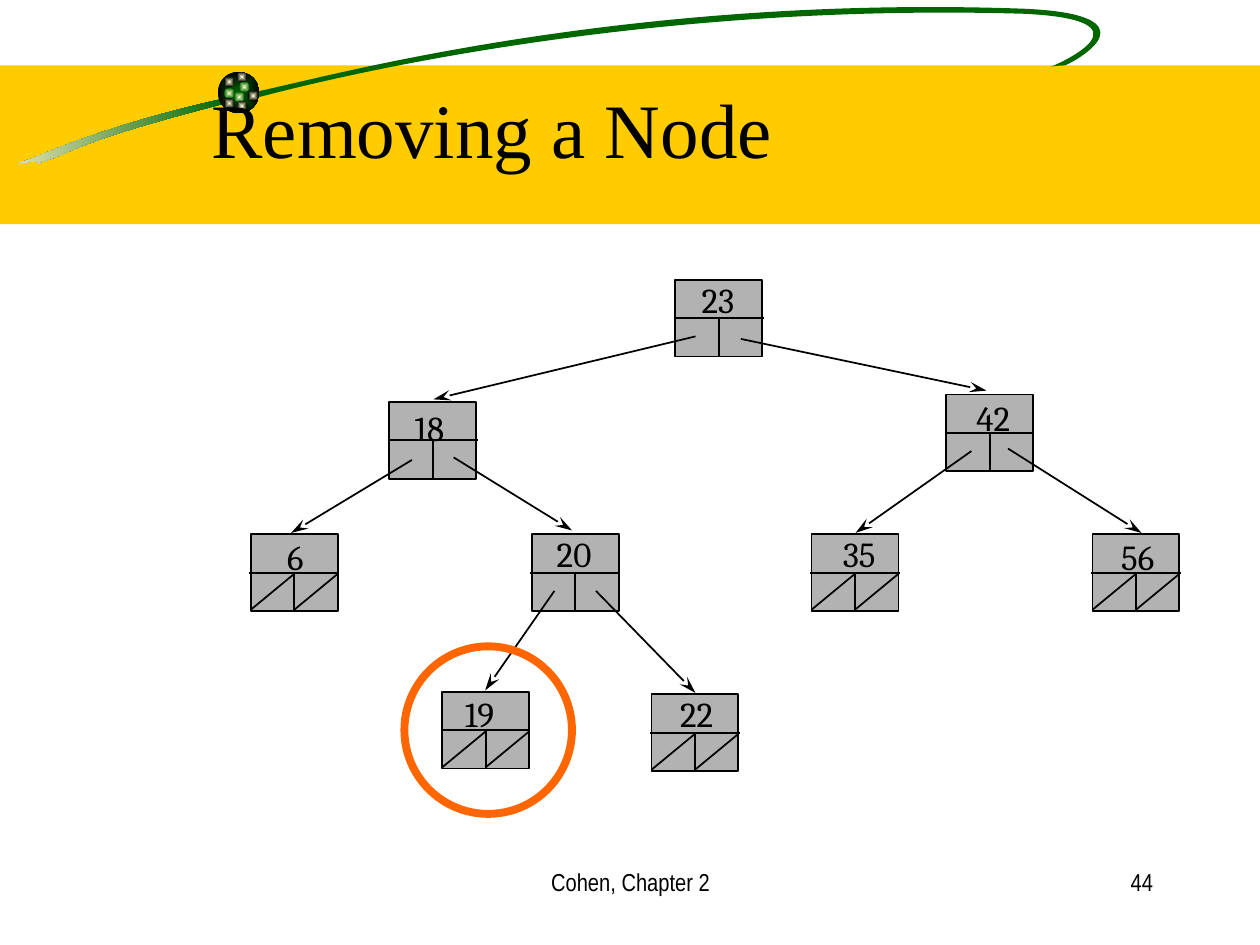
import math
from dataclasses import dataclass
from typing import Optional

from pptx import Presentation
from pptx import util as u
from pptx.dml.color import RGBColor
from pptx.enum import shapes, text
from pptx.oxml import parse_xml
from pptx.oxml.ns import nsdecls, qn

Point = tuple[float, float]


@dataclass(frozen=True)
class Theme:
    band: str = "FFCC00"
    swoosh: str = "006600"
    cream: str = "F5EBC1"
    glow: str = "FFFFCC"
    ink: str = "000000"
    cell: str = "B2B2B2"
    ring: str = "FF6600"
    title_font: str = "Times New Roman"
    label_font: str = "Cambria"
    footer_font: str = "Arial Narrow"
    title_size: int = 44
    label_size: int = 20
    footer_size: int = 14
    thin: float = 1
    thick: float = 4.5


@dataclass(frozen=True)
class Node:
    value: str
    corner: Point
    label: Point
    arrow: Optional[tuple[Point, Point]] = None
    leaf: bool = False


THEME = Theme()
NODE_WIDTH, NODE_HEIGHT, OVERHANG = 0.69, 0.61, 0.01
TILT = -8.5  # degrees, shared by both parts of the swoosh

NODES = [
    Node("23", (5.36, 2.22), (5.47, 2.16)),
    Node("18", (3.09, 3.19), (3.19, 3.18), ((5.52, 2.67), (3.44, 3.17))),
    Node("6", (1.99, 4.24), (2.18, 4.20), ((3.27, 3.65), (2.31, 4.23)), True),
    Node("20", (4.22, 4.24), (4.32, 4.18), ((3.60, 3.63), (4.54, 4.21))),
    Node("19", (3.51, 5.49), (3.59, 5.45), ((4.40, 4.69), (3.85, 5.48)), True),
    Node("22", (5.17, 5.51), (5.30, 5.45), ((4.73, 4.69), (5.52, 5.50)), True),
    Node("42", (7.51, 3.13), (7.65, 3.10), ((5.88, 2.69), (7.83, 3.10))),
    Node("35", (6.44, 4.24), (6.59, 4.18), ((7.71, 3.58), (6.79, 4.23)), True),
    Node("56", (8.67, 4.24), (8.80, 4.20), ((8.00, 3.56), (9.06, 4.23)), True),
]

# Start point, then two control points and an end point for each curve
TAIL_CENTRE: Point = (0.89, 1.06)
TAIL: list[Point] = [
    (1.78, 0.78),
    (0.91, 0.98), (0.49, 1.16), (0.25, 1.26),
    (0.01, 1.34), (0.26, 1.26), (0.31, 1.29),
    (0.57, 1.22), (0.57, 1.13), (1.79, 0.82),
]
LOOP_CENTRE: Point = (5.59, 0.4)
LOOP: list[Point] = [
    (2.02, 0.73),
    (2.46, 0.65), (4.86, -0.05), (8.14, 0.07),
    (9.17, 0.12), (8.57, 0.47), (8.45, 0.52),
    (8.45, 0.52), (8.38, 0.52), (8.34, 0.53),
    (8.44, 0.49), (9.16, 0.16), (8.13, 0.11),
    (5.48, 0.03), (3.20, 0.47), (2.06, 0.77),
]

# Corner of each glint on the bead, with its outer colour
GLINTS = [
    (1.90, 0.65, THEME.swoosh), (1.78, 0.61, THEME.ink), (1.78, 0.70, THEME.swoosh),
    (1.86, 0.73, THEME.swoosh), (1.97, 0.72, THEME.ink), (1.88, 0.80, THEME.ink),
    (1.78, 0.78, THEME.ink), (1.88, 0.57, THEME.ink),
]


def rgb(value: str) -> RGBColor:
    return RGBColor.from_string(value)


def add_preset(parent, kind, left: float, top: float, width: float, height: float,
               fill: Optional[str] = None, line: Optional[str] = None,
               weight: float = THEME.thin):
    shape = parent.shapes.add_shape(kind, *map(u.Inches, (left, top, width, height)))
    shape.shadow.inherit = False
    if fill:
        shape.fill.solid()
        shape.fill.fore_color.rgb = rgb(fill)
    else:
        shape.fill.background()
    if line:
        shape.line.color.rgb = rgb(line)
        shape.line.width = u.Pt(weight)
    else:
        shape.line.fill.background()
    return shape


def set_gradient(shape, first: str, last: str, centred: bool) -> None:
    shape.fill.gradient()
    for stop, colour in zip(shape.fill.gradient_stops, (first, last)):
        stop.color.rgb = rgb(colour)
    shape.fill.gradient_angle = 180
    if centred:
        linear = shape.element.spPr.find(qn("a:gradFill")).find(qn("a:lin"))
        linear.getparent().replace(linear, parse_xml(
            f'<a:path {nsdecls("a")} path="rect"><a:fillToRect '
            'l="50000" t="50000" r="50000" b="50000"/></a:path>'))


def add_curved(page, points: list[Point], centre: Point):
    """Lay the outline level, join it with Bezier curves, then tilt it."""
    turn = math.radians(-TILT)
    level = []
    for x, y in points:
        dx, dy = x - centre[0], y - centre[1]
        level.append((u.Inches(centre[0] + dx * math.cos(turn) - dy * math.sin(turn)),
                      u.Inches(centre[1] + dx * math.sin(turn) + dy * math.cos(turn))))
    builder = page.shapes.build_freeform(*level[0])
    builder.add_line_segments(level[1:], close=True)
    shape = builder.convert_to_shape()
    segments = list(shape.element.iter(qn("a:lnTo")))
    for first in range(0, len(segments), 3):
        curve = parse_xml(f'<a:cubicBezTo {nsdecls("a")}/>')
        segments[first].addprevious(curve)
        for segment in segments[first:first + 3]:
            curve.append(segment[0])
            segment.getparent().remove(segment)
    shape.rotation = TILT
    shape.shadow.inherit = False
    shape.line.fill.background()
    return shape


def add_line(parent, start: Point, end: Point, arrow: bool = False) -> None:
    line = parent.shapes.add_connector(
        shapes.MSO_CONNECTOR.STRAIGHT, *map(u.Inches, (*start, *end)))
    line.line.color.rgb = rgb(THEME.ink)
    line.line.width = u.Pt(THEME.thin)
    if arrow:
        line.line._get_or_add_ln().append(
            parse_xml(f'<a:tailEnd {nsdecls("a")} type="stealth" w="med" len="lg"/>'))
    line._element.spPr.append(parse_xml(f'<a:effectLst {nsdecls("a")}/>'))


def write(frame, words: str, font: str, size: int, align=text.PP_ALIGN.LEFT) -> None:
    para = frame.paragraphs[0]
    para.text = words
    para.alignment = align
    para.font.name, para.font.size = font, u.Pt(size)
    para.font.color.rgb = rgb(THEME.ink)


def add_text(parent, left: float, top: float, width: float, height: float, words: str,
             font: str, size: int, align=text.PP_ALIGN.LEFT, wrap: bool = True) -> None:
    box = parent.shapes.add_textbox(*map(u.Inches, (left, top, width, height)))
    box.text_frame.word_wrap = wrap
    write(box.text_frame, words, font, size, align)


def add_node(page, node: Node) -> None:
    group = page.shapes.add_group_shape()
    left, top = node.corner
    right, bottom = left + NODE_WIDTH, top + NODE_HEIGHT
    centre, middle = left + NODE_WIDTH / 2, top + NODE_HEIGHT / 2
    add_preset(group, shapes.MSO_SHAPE.RECTANGLE, left, top, NODE_WIDTH, NODE_HEIGHT,
               THEME.cell, THEME.ink)
    add_line(group, (left - OVERHANG, middle), (right + OVERHANG, middle))
    add_line(group, (centre, middle), (centre, bottom))
    if node.arrow:
        add_line(group, *node.arrow, arrow=True)
    if node.leaf:  # a slash marks an empty link
        for start, end in ((left, centre), (centre, right)):
            add_line(group, (start, bottom - OVERHANG), (end, middle + OVERHANG))
    add_text(group, *node.label, 0.21 + 0.15 * len(node.value), 0.43, node.value,
             THEME.label_font, THEME.label_size, wrap=False)


def add_banner(page) -> None:
    add_preset(page, shapes.MSO_SHAPE.RECTANGLE, 0, 0.52, 10, 1.26, THEME.band)
    set_gradient(add_curved(page, TAIL, TAIL_CENTRE), THEME.swoosh, THEME.cream, False)
    loop = add_curved(page, LOOP, LOOP_CENTRE)
    loop.fill.solid()
    loop.fill.fore_color.rgb = rgb(THEME.swoosh)
    bead = add_preset(page, shapes.MSO_SHAPE.OVAL, 1.73, 0.57, 0.33, 0.33)
    set_gradient(bead, THEME.swoosh, THEME.ink, True)
    for left, top, edge in GLINTS:
        glint = add_preset(page, shapes.MSO_SHAPE.OVAL, left, top, 0.08, 0.08)
        set_gradient(glint, THEME.glow, edge, True)


def add_title(page) -> None:
    title = page.shapes.title
    title.left, title.top, title.width, title.height = map(u.Inches, (1.58, 0.59, 6.59, 0.84))
    title.text_frame.auto_size = text.MSO_AUTO_SIZE.NONE
    title.text_frame.vertical_anchor = text.MSO_ANCHOR.MIDDLE
    write(title.text_frame, "Removing a Node", THEME.title_font, THEME.title_size)
    title.element.getparent().append(title.element)  # in front of the banner


def main() -> None:
    deck = Presentation()
    deck.slide_width, deck.slide_height = u.Inches(10), u.Inches(7.5)
    page = deck.slides.add_slide(deck.slide_layouts[5])
    add_banner(page)
    # Binary tree
    for node in NODES:
        add_node(page, node)
    add_title(page)
    # Ring around the node to remove
    add_preset(page, shapes.MSO_SHAPE.OVAL, 3.21, 5.13, 1.33, 1.33,
               line=THEME.ring, weight=THEME.thick)
    # Footer
    add_text(page, 3.42, 6.83, 3.17, 0.5, "Cohen, Chapter 2",
             THEME.footer_font, THEME.footer_size, text.PP_ALIGN.CENTER)
    add_text(page, 7.17, 6.83, 2.08, 0.5, "44",
             THEME.footer_font, THEME.footer_size, text.PP_ALIGN.RIGHT)
    deck.save("out.pptx")


if __name__ == "__main__":
    main()
